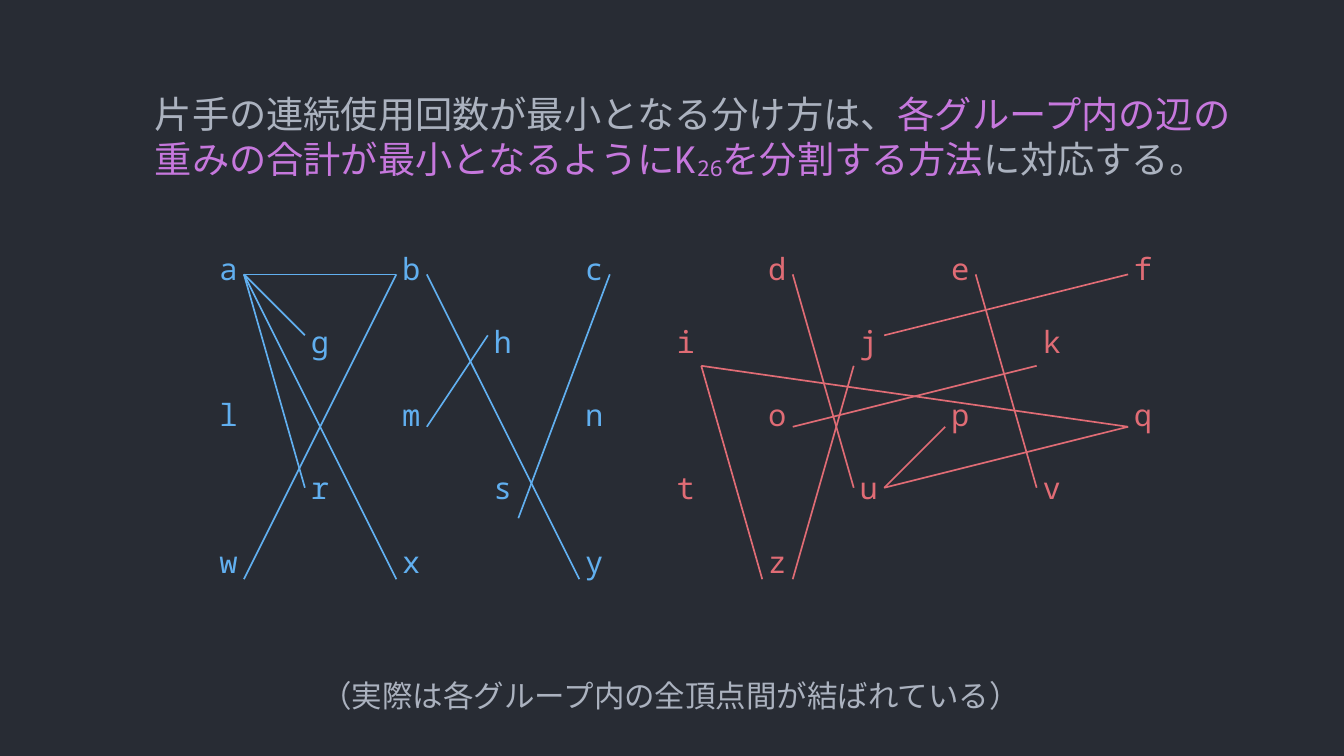
from dataclasses import dataclass
from lxml import etree
from pptx import Presentation
from pptx import util as u
from pptx.dml.color import RGBColor
from pptx.enum import lang, shapes, text
from pptx.oxml import ns


@dataclass(frozen=True)
class Theme:
    back: str = "282C34"
    gray: str = "ABB2BF"
    pink: str = "C678DD"
    blue: str = "61AFEF"
    red: str = "E06C75"
    mono: str = "Noto Sans Mono"
    serif: str = "Times New Roman"
    head: int = 22
    body: int = 18
    line: int = 1
    lead: float = 1.2


T = Theme()

ROWS = [("abc", "def"), ("gh", "ijk"), ("lmn", "opq"), ("rs", "tuv"), ("wxy", "z")]
STARTS = (0.45, 1.2)
STEP = 1.5

EDGES = {
    T.blue: [
        (2, 2.25, 3.25, 2.25), (2, 2.25, 2.5, 2.75), (4, 2.75, 3.5, 3.5),
        (2, 2.25, 2.5, 4), (2, 2.25, 3.25, 4.75), (4.25, 4.25, 5, 2.25),
        (3.25, 2.25, 2, 4.75), (3.5, 2.25, 4.75, 4.75),
    ],
    T.red: [
        (9.25, 2.25, 7.25, 2.75), (5.75, 3, 6.25, 4.75), (5.75, 3, 9.25, 3.5),
        (8.5, 3, 6.5, 3.5), (8, 2.25, 8.5, 4), (7.25, 4, 9.25, 3.5),
        (7, 3, 6.5, 4.75), (6.5, 2.25, 7, 4), (7.75, 3.5, 7.25, 4),
    ],
}


def add_box(slide, left, top, width, height, pad=(0.1, 0.05)):
    box = slide.shapes.add_textbox(*map(u.Inches, (left, top, width, height)))
    frame = box.text_frame
    frame.word_wrap = True
    frame.margin_left = frame.margin_right = u.Inches(pad[0])
    frame.margin_top = frame.margin_bottom = u.Inches(pad[1])
    return frame


def add_run(para, words, color=T.gray, size=T.body, font=T.mono, shift=0):
    run = para.add_run()
    run.text = words
    run.font.size = u.Pt(size)
    run.font.name = font
    run.font.color.rgb = RGBColor.from_string(color)
    run.font.language_id = lang.MSO_LANGUAGE_ID.JAPANESE
    if shift:
        run.font._element.set("baseline", str(shift * 1000))
    para.line_spacing = u.Pt(size * T.lead)


def set_tabs(para, start, count):
    tabs = etree.SubElement(para._p.get_or_add_pPr(), ns.qn("a:tabLst"))
    for i in range(count):
        stop = u.Inches(start + STEP * i)
        etree.SubElement(tabs, ns.qn("a:tab"), pos=str(stop), algn="l")


def add_line(slide, ends, color):
    line = slide.shapes.add_connector(
        shapes.MSO_CONNECTOR.STRAIGHT, *map(u.Inches, ends))
    line.line.color.rgb = RGBColor.from_string(color)
    line.line.width = u.Pt(T.line)
    etree.SubElement(line._element.spPr, ns.qn("a:effectLst"))


def add_head(slide):
    para = add_box(slide, 1.27, 0.75, 8.98, 1, pad=(0, 0)).paragraphs[0]
    for words, color, shift in [
        ("片手の連続使用回数が最小となる分け方は、", T.gray, 0),
        ("各グループ内の辺の重みの合計が最小となるようにK", T.pink, 0),
        ("26", T.pink, -8),
        ("を分割する方法", T.pink, 0),
        ("に対応する。", T.gray, 0),
    ]:
        add_run(para, words, color=color, size=T.head, shift=shift)


def add_nodes(slide):
    frame = add_box(slide, 1.25, 2, 9, 3.25)
    for i, (left, right) in enumerate(ROWS):
        para = frame.add_paragraph() if i else frame.paragraphs[0]
        set_tabs(para, STARTS[i % 2], len(left + right))
        for group, color in ((left, T.blue), (right, T.red)):
            add_run(para, "".join("\t" + name for name in group), color=color)
        if i:
            para.space_before = u.Pt(T.body * T.lead)


def add_note(slide):
    para = add_box(slide, 1.25, 5.5, 8.5, 0.5).paragraphs[0]
    para.alignment = text.PP_ALIGN.CENTER
    add_run(para, "（実際は各グループ内の全頂点間が結ばれている）", font=T.serif)


def main():
    deck = Presentation()
    deck.slide_width = u.Inches(11.02)
    deck.slide_height = u.Inches(6.2)
    slide = deck.slides.add_slide(deck.slide_layouts[6])
    fill = slide.background.fill
    fill.solid()
    fill.fore_color.rgb = RGBColor.from_string(T.back)
    add_head(slide)
    add_nodes(slide)
    for color, edges in EDGES.items():
        for ends in edges:
            add_line(slide, ends, color)
    add_note(slide)
    deck.save("out.pptx")


if __name__ == "__main__":
    main()
